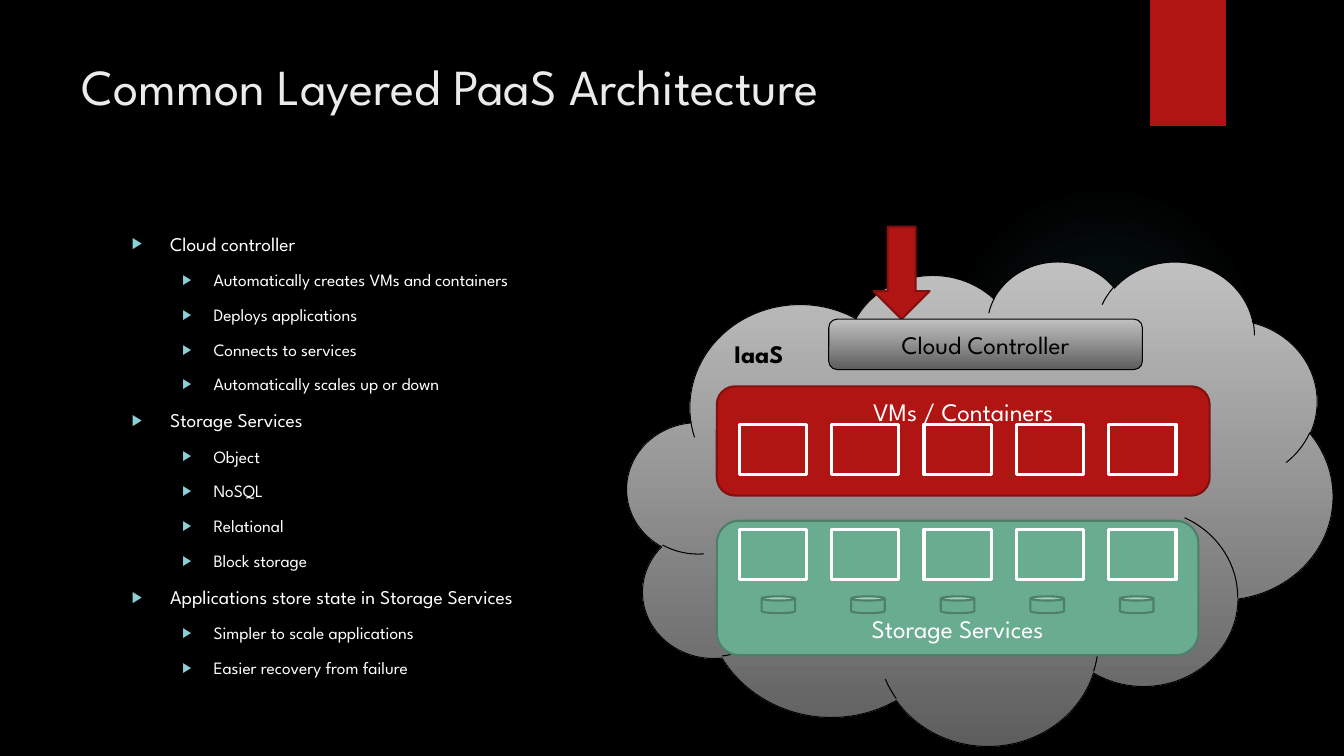
from lxml import etree
from pptx import Presentation
from pptx import util as u
from pptx.dml.color import RGBColor
from pptx.enum import shapes, text
from pptx.oxml.ns import qn

# Content
TITLE = "Common Layered PaaS Architecture"
POINTS = [
    ("Cloud controller", ["Automatically creates VMs and containers",
                          "Deploys applications", "Connects to services",
                          "Automatically scales up or down"]),
    ("Storage Services", ["Object", "NoSQL", "Relational", "Block storage"]),
    ("Applications store state in Storage Services",
     ["Simpler to scale applications", "Easier recovery from failure"]),
]
COUNT = 5


class Theme:
    font = "League Spartan"
    black, white, pale = "000000", "FFFFFF", "EBEBEB"
    red, maroon = "B01513", "82100E"
    green, moss = "6AAC90", "4E7F6B"
    aqua, teal = "8AD0D6", "50B9C1"
    steel = [(0, "C1C1C1", 100), (100, "5E5E5E", 100)]
    glow = [(0, teal, 7), (36, teal, 6), (69, teal, 0)]
    head, label = 36, 18
    sizes = (13.9, 12.4)
    indents = ((0.38, -0.38), (0.81, -0.31))


# Layout: 480 columns by 270 rows, as left, top, width, height
COLS, ROWS = 480, 270
HEAD = (25.5, 18, 370.5, 55)
LIST = (43.5, 81, 173, 165)
GLOW = (338.8, 65.9, 110.9, 110.9)
TAB = (410.8, 0, 27, 45)
CLOUD = (224, 93, 252, 173)
VMS = (256, 138, 176, 39)
STORE = (256, 186, 172, 48)
ARROW = (312, 81, 20, 33)
CONTROL = (296, 114, 112, 18)
# First cell of each row, and the step to the next one
VM_ROW, STORE_ROW, BOX_STEP = (264, 151.5, 24, 18), (264, 189, 24, 18), 33
CAN_ROW, CAN_STEP = (272, 213, 12, 6), 32

deck = Presentation()
deck.slide_width, deck.slide_height = u.Inches(13.33), u.Inches(7.5)
slide = deck.slides.add_slide(deck.slide_layouts[1])
kinds = shapes.MSO_SHAPE


def rgb(code):
    return RGBColor.from_string(code)


def place(item, area):
    x, y, w, h = area
    item.left = round(x * deck.slide_width / COLS)
    item.top = round(y * deck.slide_height / ROWS)
    item.width = round(w * deck.slide_width / COLS)
    item.height = round(h * deck.slide_height / ROWS)


def style(para, size, color, bold=False):
    for run in para.runs:
        run.font.name = Theme.font
        run.font.size = u.Pt(size)
        run.font.bold = bold
        run.font.color.rgb = rgb(color)


def shade(shape, stops, radial):
    """Blend colour stops downward, or outward from the centre."""
    shape.fill.gradient()
    grad = shape._element.spPr.find(qn("a:gradFill"))
    for child in list(grad):
        grad.remove(child)
    group = etree.SubElement(grad, qn("a:gsLst"))
    for pos, color, alpha in stops:
        stop = etree.SubElement(group, qn("a:gs"), pos=str(pos * 1000))
        tint = etree.SubElement(stop, qn("a:srgbClr"), val=color)
        etree.SubElement(tint, qn("a:alpha"), val=str(alpha * 1000))
    if radial:
        ring = etree.SubElement(grad, qn("a:path"))
        ring.set("path", "circle")
        etree.SubElement(ring, qn("a:fillToRect"),
                         dict.fromkeys("ltrb", "50000"))
    else:
        etree.SubElement(grad, qn("a:lin"), ang="5400000", scaled="0")


def draw(kind, area, fill, line=None, width=1.5, radial=False):
    shape = slide.shapes.add_shape(kind, 0, 0, 0, 0)
    place(shape, area)
    shape.shadow.inherit = False
    if isinstance(fill, str):
        shape.fill.solid()
        shape.fill.fore_color.rgb = rgb(fill)
    else:
        shade(shape, fill, radial)
    if line:
        shape.line.color.rgb = rgb(line)
        shape.line.width = u.Pt(width)
    else:
        shape.line.fill.background()
    return shape


def label(shape, words, color, anchor="TOP", align="CENTER", bold=False):
    frame = shape.text_frame
    frame.text = words
    frame.vertical_anchor = text.MSO_ANCHOR[anchor]
    para = frame.paragraphs[0]
    para.alignment = text.PP_ALIGN[align]
    style(para, Theme.label, color, bold)


def row(kind, first, step, fill, line, width):
    x, y, w, h = first
    for i in range(COUNT):
        draw(kind, (x + i * step, y, w, h), fill, line, width)


def bullet(para, level):
    left, hang = Theme.indents[level]
    props = para._p.get_or_add_pPr()
    props.set("marL", str(u.Inches(left)))
    props.set("indent", str(u.Inches(hang)))
    tint = etree.SubElement(props, qn("a:buClr"))
    etree.SubElement(tint, qn("a:srgbClr"), val=Theme.aqua)
    etree.SubElement(props, qn("a:buSzPct"), val="80000")
    etree.SubElement(props, qn("a:buFont"), typeface="Arial")
    etree.SubElement(props, qn("a:buChar"), char="▶")


# Backdrop
slide.background.fill.solid()
slide.background.fill.fore_color.rgb = rgb(Theme.black)
draw(kinds.OVAL, GLOW, Theme.glow, radial=True)
draw(kinds.RECTANGLE, TAB, Theme.red)

# Title and list
head, body = slide.shapes.title, slide.placeholders[1]
for holder, area in ((head, HEAD), (body, LIST)):
    place(holder, area)
    holder.text_frame.word_wrap = True
    holder.text_frame.auto_size = text.MSO_AUTO_SIZE.NONE
    holder.text_frame.vertical_anchor = text.MSO_ANCHOR.TOP
head.text_frame.text = TITLE
head.text_frame.paragraphs[0].alignment = text.PP_ALIGN.LEFT
style(head.text_frame.paragraphs[0], Theme.head, Theme.pale)

lines = [pair for topic, subs in POINTS
         for pair in [(topic, 0)] + [(sub, 1) for sub in subs]]
frame = body.text_frame
for i, (words, level) in enumerate(lines):
    para = frame.add_paragraph() if i else frame.paragraphs[0]
    para.text = words
    para.level = level
    para.space_before = u.Pt(10 if i else 0)
    bullet(para, level)
    style(para, Theme.sizes[level], Theme.white)

# Cloud and its layers
cloud = draw(kinds.CLOUD, CLOUD, Theme.steel, Theme.black, 0.75)
label(cloud, "IaaS", Theme.black, align="LEFT", bold=True)
vms = draw(kinds.ROUNDED_RECTANGLE, VMS, Theme.red, Theme.maroon)
label(vms, "VMs / Containers", Theme.white)
store = draw(kinds.ROUNDED_RECTANGLE, STORE, Theme.green, Theme.moss)
label(store, "Storage Services", Theme.white, "BOTTOM")
draw(kinds.DOWN_ARROW, ARROW, Theme.red, Theme.maroon)
control = draw(kinds.ROUNDED_RECTANGLE, CONTROL, Theme.steel, Theme.black, 0.75)
label(control, "Cloud Controller", Theme.black, "MIDDLE")

# Rows of machines, services and disks
row(kinds.RECTANGLE, VM_ROW, BOX_STEP, Theme.red, Theme.white, 2.25)
row(kinds.RECTANGLE, STORE_ROW, BOX_STEP, Theme.green, Theme.white, 2.25)
row(kinds.CAN, CAN_ROW, CAN_STEP, Theme.green, Theme.moss, 1.5)

deck.save("out.pptx")
